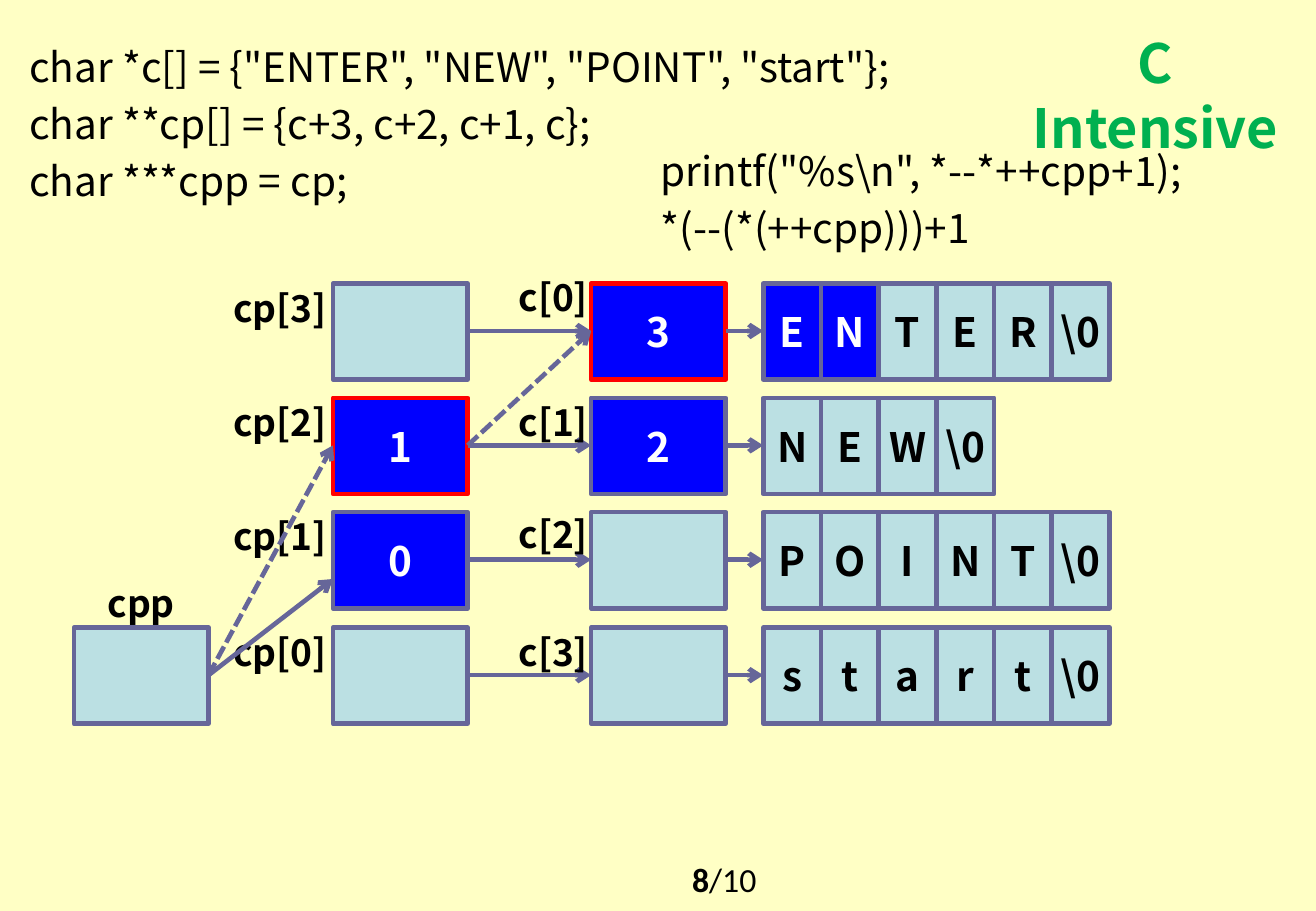
"""Pointer diagram for a C quiz: cpp, cp[], c[] and the strings they reach."""
from typing import NamedTuple

from lxml.etree import SubElement
from pptx import Presentation
from pptx.dml.color import RGBColor
from pptx.enum.dml import MSO_LINE
from pptx.enum.shapes import MSO_CONNECTOR, MSO_SHAPE
from pptx.enum.text import MSO_ANCHOR, MSO_AUTO_SIZE, PP_ALIGN
from pptx.oxml.ns import qn
from pptx.util import Emu, Pt

COLORS = {
    "background": "FFFFC5",
    "title": "00B050",
    "text": "000000",
    "light_text": "FFFFFF",
    "cell": "BBE0E3",
    "active": "0000FF",
    "border": "666699",
    "changed": "FF0000",
}
FONT = "Noto Sans CJK KR"
EMU_PER_PX = 7620
LINE_WIDTH = Pt(2.75)

TOP, ROW_SPAN, ROWS = 280, 340, 4
BOX_W, BOX_H, CELL_W = 133, 95, 57
CPP_X, CP_X, C_X, STRING_X = 73, 329, 584, 754


class Box(NamedTuple):
    x: int
    y: int
    w: int = BOX_W
    text: str = ""
    active: bool = False
    border: str = "border"


class Label(NamedTuple):
    x: int
    y: int
    w: int
    text: str


class Arrow(NamedTuple):
    x1: int
    y1: int
    x2: int
    y2: int
    dashed: bool = False


class Row(NamedTuple):
    word: str
    cp: str = ""
    c: str = ""
    cp_border: str = "border"
    c_border: str = "border"
    active_letters: int = 0
    c_label_shift: int = 0


DATA = [
    Row("ENTER", c="3", c_border="changed", active_letters=2, c_label_shift=-10),
    Row("NEW", cp="1", c="2", cp_border="changed"),
    Row("POINT", cp="0", c_label_shift=-2),
    Row("start"),
]


def px(n: int) -> Emu:
    """Turn pixels into EMU."""
    return Emu(n * EMU_PER_PX)


def rgb(name: str) -> RGBColor:
    """Look up a named colour."""
    return RGBColor.from_string(COLORS[name])


def row_y(row: int) -> int:
    """Give the top of a diagram row."""
    return TOP + row * ROW_SPAN // (ROWS - 1)


def middle(row: int) -> int:
    """Give the vertical centre of a diagram row."""
    return row_y(row) + BOX_H // 2


def place(s, x: int, y: int, w: int, h: int) -> None:
    """Move and size a shape."""
    s.left, s.top, s.width, s.height = px(x), px(y), px(w), px(h)


def write(s, text, *, size=24, bold=False, color="text", font=FONT, align=PP_ALIGN.LEFT,
          anchor=MSO_ANCHOR.TOP, wrap=True, before=0) -> None:
    """Fill a shape with formatted lines of text."""
    tf = s.text_frame
    tf.auto_size = MSO_AUTO_SIZE.NONE
    tf.word_wrap = wrap
    tf.vertical_anchor = anchor
    tf.margin_left = tf.margin_right = px(12)
    tf.margin_top = tf.margin_bottom = px(6)
    tf.text = text
    for p in tf.paragraphs:
        p.alignment = align
        p.space_before = Pt(before)
        pPr = p._p.get_or_add_pPr()
        pPr.set("marL", "0")
        pPr.set("indent", "0")
        SubElement(pPr, qn("a:buNone"))
        for r in p.runs:
            r.font.size, r.font.bold, r.font.name = Pt(size), bold, font
            r.font.color.rgb = rgb(color)
            SubElement(r._r.get_or_add_rPr(), qn("a:ea"), typeface=font)


def draw_box(shapes, box: Box) -> None:
    """Draw a memory cell."""
    s = shapes.add_shape(MSO_SHAPE.RECTANGLE, px(box.x), px(box.y), px(box.w), px(BOX_H))
    s.shadow.inherit = False
    s.fill.solid()
    s.fill.fore_color.rgb = rgb("active" if box.active else "cell")
    s.line.color.rgb = rgb(box.border)
    s.line.width = LINE_WIDTH
    if box.text:
        write(s, box.text, bold=True, color="light_text" if box.active else "text",
              align=PP_ALIGN.CENTER, anchor=MSO_ANCHOR.MIDDLE, wrap=False)


def draw_label(shapes, label: Label) -> None:
    """Draw the name of a variable."""
    s = shapes.add_textbox(px(label.x), px(label.y), px(label.w), px(47))
    write(s, label.text, size=22, bold=True, align=PP_ALIGN.CENTER,
          anchor=MSO_ANCHOR.MIDDLE, wrap=False)


def draw_arrow(shapes, arrow: Arrow) -> None:
    """Draw a pointer."""
    s = shapes.add_connector(MSO_CONNECTOR.STRAIGHT, px(arrow.x1), px(arrow.y1),
                             px(arrow.x2), px(arrow.y2))
    s.line.color.rgb = rgb("border")
    s.line.width = LINE_WIDTH
    if arrow.dashed:
        s.line.dash_style = MSO_LINE.SQUARE_DOT
    SubElement(s.line._get_or_add_ln(), qn("a:tailEnd"), type="arrow")
    SubElement(s._element.spPr, qn("a:effectLst"))


def draw_row(shapes, i: int, row: Row) -> None:
    """Draw one row of pointers with its string."""
    y, mid = row_y(i), middle(i)
    draw_box(shapes, Box(CP_X, y, text=row.cp, active=bool(row.cp), border=row.cp_border))
    draw_box(shapes, Box(C_X, y, text=row.c, active=bool(row.c), border=row.c_border))
    for j, letter in reversed(list(enumerate([*row.word, "\\0"]))):
        draw_box(shapes, Box(STRING_X + j * CELL_W, y, CELL_W, letter, j < row.active_letters))
    draw_arrow(shapes, Arrow(CP_X + BOX_W, mid, C_X, mid))
    draw_arrow(shapes, Arrow(C_X + BOX_W, mid, STRING_X, mid))
    draw_label(shapes, Label(224, y, 105, f"cp[{ROWS - 1 - i}]"))
    draw_label(shapes, Label(499, y + row.c_label_shift, 95, f"c[{i}]"))


def main() -> None:
    """Build and save the slide."""
    prs = Presentation()
    prs.slide_width, prs.slide_height = px(1300), px(900)
    slide = prs.slides.add_slide(prs.slide_layouts[1])
    slide.background.fill.solid()
    slide.background.fill.fore_color.rgb = rgb("background")
    shapes = slide.shapes

    title, body = slide.placeholders
    place(title, 1001, 23, 281, 77)
    write(title, "C Intensive", size=32, bold=True, color="title", align=PP_ALIGN.CENTER)
    place(body, 17, 35, 936, 176)
    write(body, 'char *c[] = {"ENTER", "NEW", "POINT", "start"};\n'
                "char **cp[] = {c+3, c+2, c+1, c};\nchar ***cpp = cp;", before=5)
    call = shapes.add_textbox(px(641), px(138), px(616), px(119))
    write(call, 'printf("%s\\n", *--*++cpp+1);\n*(--(*(++cpp)))+1', before=5)

    for i, row in enumerate(DATA):
        draw_row(shapes, i, row)
    draw_box(shapes, Box(CPP_X, row_y(3)))
    draw_label(shapes, Label(CPP_X, 572, BOX_W, "cpp"))
    for arrow in (
        Arrow(CPP_X + BOX_W, middle(3), CP_X, 572),
        Arrow(CP_X + BOX_W, middle(1), C_X, middle(0), True),
        Arrow(CPP_X + BOX_W, middle(3), CP_X, middle(1), True),
    ):
        draw_arrow(shapes, arrow)

    page = shapes.add_textbox(px(556), px(832), px(319), px(62))
    write(page, "8", size=20, bold=True, font="Calibri", align=PP_ALIGN.CENTER,
          anchor=MSO_ANCHOR.BOTTOM)
    r = page.text_frame.paragraphs[0].add_run()
    r.text = "/10"
    r.font.size, r.font.bold, r.font.name = Pt(20), False, "Calibri"
    r.font.color.rgb = rgb("text")
    prs.save("out.pptx")


if __name__ == "__main__":
    main()
